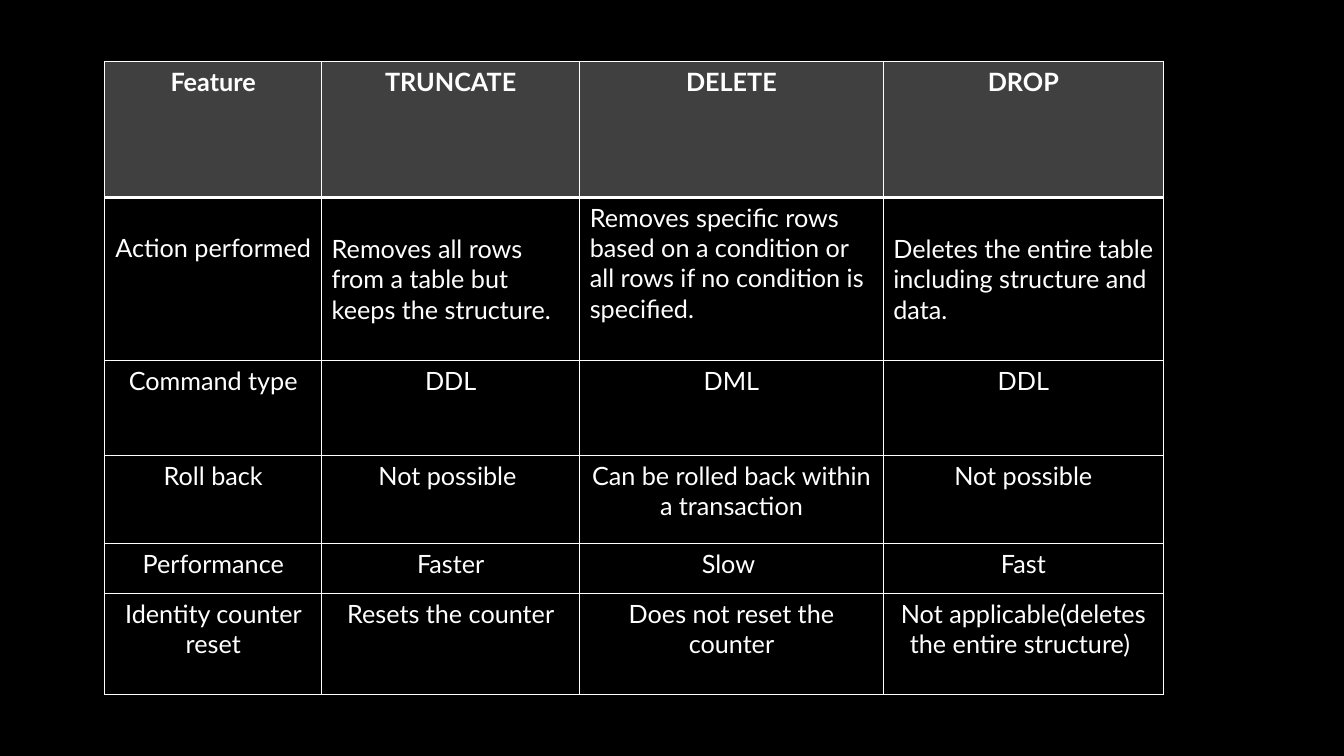
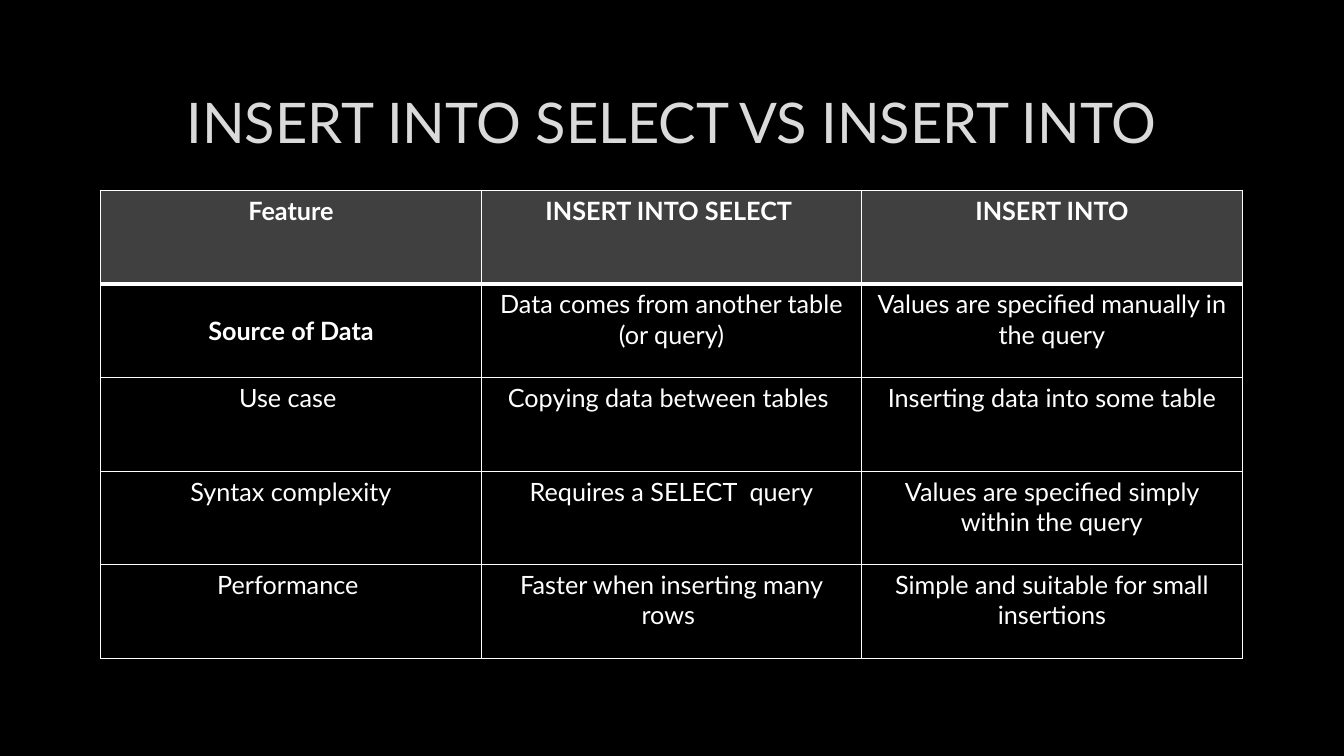
from lxml.etree import SubElement
from pptx import Presentation
from pptx.dml.color import RGBColor
from pptx.enum.text import MSO_ANCHOR, PP_ALIGN
from pptx.oxml.ns import qn
from pptx.util import Inches, Pt

BLACK, WHITE, GREY, SILVER = "000000", "FFFFFF", "404040", "DADADA"


def tint(code):
    return RGBColor.from_string(code)


class Deck:
    font = "Lato"

    def __init__(self):
        self.show = Presentation()
        self.show.slide_width = Inches(13.33)
        self.show.slide_height = Inches(7.5)

    def page(self):
        self.slide = self.show.slides.add_slide(self.show.slide_layouts[6])
        fill = self.slide.background.fill
        fill.solid()
        fill.fore_color.rgb = tint(BLACK)

    def label(self, frame, text, size, color, bold=False):
        frame.text = text
        line = frame.paragraphs[0]
        line.alignment = PP_ALIGN.CENTER
        for run in line.runs:
            run.font.name = self.font
            run.font.size = Pt(size)
            run.font.bold = bold
            run.font.color.rgb = tint(color)

    def title(self, text, left, top, width, height):
        box = self.slide.shapes.add_textbox(
            Inches(left), Inches(top), Inches(width), Inches(height))
        box.text_frame.word_wrap = True
        box.text_frame.vertical_anchor = MSO_ANCHOR.MIDDLE
        self.label(box.text_frame, text, 40, SILVER)

    def border(self, cell, side, width):
        line = SubElement(cell._tc.get_or_add_tcPr(), qn("a:ln" + side), w=str(Pt(width)))
        fill = SubElement(line, qn("a:solidFill"))
        SubElement(fill, qn("a:srgbClr"), val=WHITE)

    def grid(self, left, top, cols, rows, data):
        table = self.slide.shapes.add_table(
            len(rows), len(cols), Inches(left), Inches(top),
            Inches(sum(cols)), Inches(sum(rows))).table
        table.horz_banding = False
        for col, width in zip(table.columns, cols):
            col.width = Inches(width)
        for row, height in zip(table.rows, rows):
            row.height = Inches(height)
        for r, texts in enumerate(data):
            for c, text in enumerate(texts):
                self.cell(table.cell(r, c), text, r)
        return table

    def cell(self, cell, text, row):
        head = row == 0
        self.label(cell.text_frame, text, 18, WHITE, head)
        widths = {"L": 1, "R": 1, "T": 3 if row == 1 else 1, "B": 3 if head else 1}
        for side, width in widths.items():
            self.border(cell, side, width)
        cell.fill.solid()
        cell.fill.fore_color.rgb = tint(GREY if head else BLACK)


def remove(deck):
    deck.page()
    table = deck.grid(1.04, 0.61, [2.15, 2.56, 3.01, 2.78], [1.35, 1.62, 0.94, 0.87, 0.5, 1], [
        ["Feature", "TRUNCATE", "DELETE", "DROP"],
        ["Action performed",
         "Removes all rows from a table but keeps the structure.",
         "Removes specific rows based on a condition or all rows if no condition is specified.",
         "Deletes the entire table including structure and data."],
        ["Command type", "DDL", "DML", "DDL"],
        ["Roll back", "Not possible ", "Can be rolled back within a transaction", "Not possible"],
        ["Performance", "Faster", "Slow ", "Fast"],
        ["Identity counter reset", "Resets the counter", "Does not reset the counter",
         "Not applicable(deletes the entire structure) "],
    ])
    table.cell(1, 0).margin_top = Inches(0.35)
    for col in (1, 2, 3):
        table.cell(1, col).text_frame.paragraphs[0].alignment = PP_ALIGN.LEFT
    for col in (1, 3):
        table.cell(1, col).vertical_anchor = MSO_ANCHOR.MIDDLE


def insert(deck):
    deck.page()
    deck.title("INSERT INTO SELECT VS INSERT INTO", 1, 0.67, 11.32, 1.06)
    table = deck.grid(1, 1.89, [11.32 / 3] * 3, [4.64 / 5] * 5, [
        ["Feature", "INSERT INTO SELECT ", "INSERT INTO"],
        ["Source of Data", "Data comes from another table (or query)",
         "Values are specified manually in the query"],
        ["Use case ", "Copying data between tables ", "Inserting data into some table"],
        ["Syntax complexity", "Requires a SELECT  query",
         "Values are specified simply within the query"],
        ["Performance ", "Faster when inserting many rows ",
         "Simple and suitable for small insertions"],
    ])
    source = table.cell(1, 0)
    source.vertical_anchor = MSO_ANCHOR.MIDDLE
    source.text_frame.paragraphs[0].runs[0].font.bold = True


def main():
    deck = Deck()
    remove(deck)
    insert(deck)
    deck.show.save("out.pptx")


if __name__ == "__main__":
    main()
